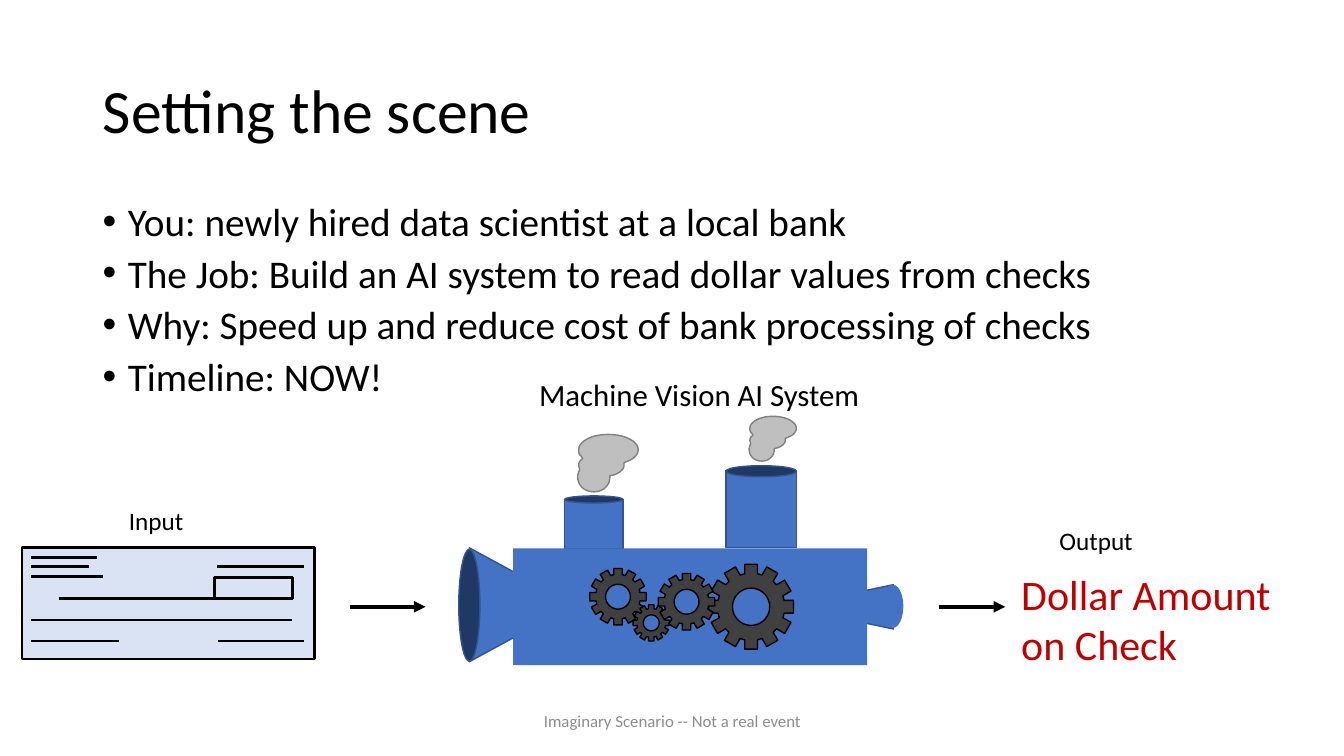
import math
from dataclasses import dataclass, field

from lxml import etree
from pptx import Presentation
from pptx import util as u
from pptx.dml.color import RGBColor
from pptx.enum import shapes, text
from pptx.oxml.ns import qn

COLORS = {
    "black": "000000", "red": "C00000", "gray": "8C8C8C",
    "blue": "4472C4", "edge": "325491", "navy": "203864",
    "gear": "404040", "smoke": "BFBFBF", "smoke_edge": "808080",
    "check": "DAE3F3",
}
RECT, OVAL = shapes.MSO_SHAPE.RECTANGLE, shapes.MSO_SHAPE.OVAL
TRIANGLE = shapes.MSO_SHAPE.ISOSCELES_TRIANGLE
LEFT, CENTER = text.PP_ALIGN.LEFT, text.PP_ALIGN.CENTER
TOP, MIDDLE = text.MSO_ANCHOR.TOP, text.MSO_ANCHOR.MIDDLE


@dataclass
class Label:
    box: tuple
    lines: list
    size: float
    color: str = "black"
    align: int = LEFT
    anchor: int = TOP
    para: dict = field(default_factory=dict)
    bullet: bool = False


@dataclass
class Part:
    kind: int
    box: tuple
    fill: str
    line: str = ""
    weight: float = 1
    rotation: float = 0


@dataclass
class Line:
    x1: float
    x2: float
    y: float
    weight: float = 1.75
    arrow: bool = False


@dataclass
class Gear:
    cx: float
    cy: float
    radius: float


@dataclass
class Cloud:
    x: float
    y: float
    scale: float


TITLE = Label((0.92, 0.4, 11.5, 1.45), ["Setting the scene"], 44,
              anchor=MIDDLE, para={"line_spacing": 0.9})
LABELS = [
    Label((0.92, 2, 11.5, 2.06), [
        "You: newly hired data scientist at a local bank",
        "The Job: Build an AI system to read dollar values from checks",
        "Why: Speed up and reduce cost of bank processing of checks",
        "Timeline: NOW!",
    ], 28, para={"line_spacing": 0.8, "space_before": u.Pt(10)}, bullet=True),
    Label((10.03, 5.59, 2.68, 1.11), ["Dollar Amount on Check"], 30, "red"),
    Label((10.41, 5.16, 1.4, 0.4), ["Output"], 18),
    Label((5.18, 3.68, 3.51, 0.47), ["Machine Vision AI System"], 22, align=CENTER),
    Label((1.18, 4.96, 1.4, 0.4), ["Input"], 18),
    Label((4.42, 6.95, 4.5, 0.4), ["Imaginary Scenario -- Not a real event"], 12,
          "gray", CENTER, MIDDLE),
]
MACHINE = [
    Part(TRIANGLE, (8.12, 5.5, 0.44, 1.04), "blue", "edge", rotation=270),
    Part(OVAL, (8.75, 5.8, 0.21, 0.43), "blue", rotation=180),
    Part(TRIANGLE, (4.61, 5.48, 1.13, 1.04), "blue", "edge", rotation=90),
    Part(OVAL, (4.55, 5.45, 0.21, 1.11), "navy", "edge"),
    Part(RECT, (7.2, 4.67, 0.7, 0.76), "blue", "edge"),
    Part(RECT, (5.6, 4.96, 0.58, 0.48), "blue", "edge"),
    Part(RECT, (5.09, 5.44, 3.51, 1.16), "blue"),
    Part(OVAL, (5.6, 4.92, 0.58, 0.07), "navy", "edge"),
    Part(OVAL, (7.2, 4.62, 0.7, 0.11), "navy", "edge"),
]
CHECK = [
    Part(RECT, (0.22, 5.43, 2.9, 1.11), "check", "black", 1.75),
    Part(RECT, (2.13, 5.73, 0.77, 0.21), "check", "black", 1.75),
]
ARROWS = [Line(3.47, 4.22, 6.02, 2.75, True), Line(9.31, 9.97, 6.02, 2.75, True)]
CHECK_LINES = [
    Line(0.59, 2.16, 5.94), Line(0.31, 2.9, 6.15),
    Line(0.31, 1.18, 6.36), Line(2.16, 3.02, 6.36),
    Line(2.15, 3.02, 5.62), Line(0.31, 0.96, 5.53),
    Line(0.31, 0.88, 5.62), Line(0.31, 1.02, 5.72),
]
GEARS = [Gear(6.13, 5.92, 0.28), Gear(6.46, 6.18, 0.18),
         Gear(7.45, 6.02, 0.42), Gear(6.81, 5.97, 0.28)]
CLOUDS = [Cloud(5.73, 4.31, 1), Cloud(7.43, 4.13, 0.78)]
CLOUD_CURVES = [
    ((0.3, 0), (0.47, 0), (0.6, 0.07), (0.6, 0.15)),
    ((0.6, 0.15), (0.6, 0.21), (0.55, 0.25), (0.46, 0.28)),
    ((0.46, 0.31), (0.46, 0.35), (0.4, 0.4), (0.32, 0.41)),
    ((0.32, 0.42), (0.32, 0.51), (0.25, 0.57), (0.16, 0.57)),
    ((0.16, 0.57), (0.07, 0.57), (0, 0.51), (0, 0.42)),
    ((0, 0.42), (0, 0.41), (0, 0.39), (0.02, 0.35)),
    ((0.01, 0.31), (0.01, 0.28), (0.02, 0.26), (0.05, 0.24)),
    ((0.03, 0.21), (0.01, 0.2), (0.01, 0.17), (0.01, 0.15)),
    ((0.01, 0.15), (0.01, 0.07), (0.14, 0), (0.3, 0)),
]


def rgb(name: str) -> RGBColor:
    return RGBColor.from_string(COLORS[name])


def apply(target, values: dict) -> None:
    for name, value in values.items():
        setattr(target, name, value)


def write(sp, label: Label) -> None:
    apply(sp, dict(zip(("left", "top", "width", "height"), map(u.Inches, label.box))))
    tf = sp.text_frame
    tf.text = "\n".join(label.lines)
    apply(tf, {"word_wrap": True, "auto_size": text.MSO_AUTO_SIZE.NONE,
               "vertical_anchor": label.anchor})
    for p in tf.paragraphs:
        apply(p, {"alignment": label.align, **label.para})
        apply(p.runs[0].font, {"name": "Calibri", "size": u.Pt(label.size)})
        p.runs[0].font.color.rgb = rgb(label.color)
        if label.bullet:
            pr = p._p.get_or_add_pPr()
            pr.set("marL", str(u.Inches(0.25)))
            pr.set("indent", str(u.Inches(-0.25)))
            etree.SubElement(pr, qn("a:buFont"), typeface="Arial")
            etree.SubElement(pr, qn("a:buChar"), char="•")


def paint(sp, fill: str, line: str, weight: float = 1) -> None:
    sp.shadow.inherit = False
    sp.fill.solid()
    sp.fill.fore_color.rgb = rgb(fill)
    if line:
        sp.line.color.rgb = rgb(line)
        sp.line.width = u.Pt(weight)
    else:
        sp.line.fill.background()


def draw_part(s, part: Part) -> None:
    sp = s.shapes.add_shape(part.kind, *map(u.Inches, part.box))
    sp.rotation = part.rotation
    paint(sp, part.fill, part.line, part.weight)


def draw_line(s, line: Line) -> None:
    ends = map(u.Inches, (line.x1, line.y, line.x2, line.y))
    cx = s.shapes.add_connector(shapes.MSO_CONNECTOR.STRAIGHT, *ends)
    cx.line.color.rgb = rgb("black")
    cx.line.width = u.Pt(line.weight)
    if line.arrow:
        etree.SubElement(cx.line._get_or_add_ln(), qn("a:tailEnd"), type="triangle")
    etree.SubElement(cx._element.spPr, qn("a:effectLst"))


def draw_outline(s, contours: list, fill: str, line: str) -> None:
    scaled = [[(u.Inches(x), u.Inches(y)) for x, y in c] for c in contours]
    fb = s.shapes.build_freeform(*scaled[0][0])
    fb.add_line_segments(scaled[0][1:])
    for contour in scaled[1:]:
        fb.move_to(*contour[0])
        fb.add_line_segments(contour[1:])
    paint(fb.convert_to_shape(), fill, line)


def draw_gear(s, gear: Gear) -> None:
    def turn(x: float, y: float, degrees: float) -> tuple:
        a, r = math.radians(degrees), gear.radius
        return (gear.cx + r * (x * math.cos(a) - y * math.sin(a)),
                gear.cy + r * (x * math.sin(a) + y * math.cos(a)))

    tooth = [(-0.15, -0.78), (-0.15, -1), (0.15, -1), (0.15, -0.78)]
    rim = [turn(x, y, a) for a in range(0, 360, 30) for x, y in tooth]
    hole = [turn(0, -0.44, a) for a in range(0, 360, 10)]
    draw_outline(s, [hole, rim], "gear", "black")


def draw_cloud(s, cloud: Cloud) -> None:
    def at(curve: tuple, t: float) -> tuple:
        weights = [math.comb(3, i) * t ** i * (1 - t) ** (3 - i) for i in range(4)]
        x, y = (sum(w * pt[k] for w, pt in zip(weights, curve)) for k in (0, 1))
        return cloud.x + cloud.scale * x, cloud.y + cloud.scale * y

    outline = [at(curve, i / 10) for curve in CLOUD_CURVES for i in range(11)]
    draw_outline(s, [outline], "smoke", "smoke_edge")


def main() -> None:
    prs = Presentation()
    apply(prs, {"slide_width": u.Inches(13.33), "slide_height": u.Inches(7.5)})
    s = prs.slides.add_slide(prs.slide_layouts[5])
    write(s.shapes.title, TITLE)
    for draw, items in ((draw_line, ARROWS), (draw_part, MACHINE), (draw_gear, GEARS),
                        (draw_cloud, CLOUDS), (draw_part, CHECK), (draw_line, CHECK_LINES)):
        for item in items:
            draw(s, item)
    for label in LABELS:
        write(s.shapes.add_textbox(0, 0, 0, 0), label)
    prs.save("out.pptx")


if __name__ == "__main__":
    main()
